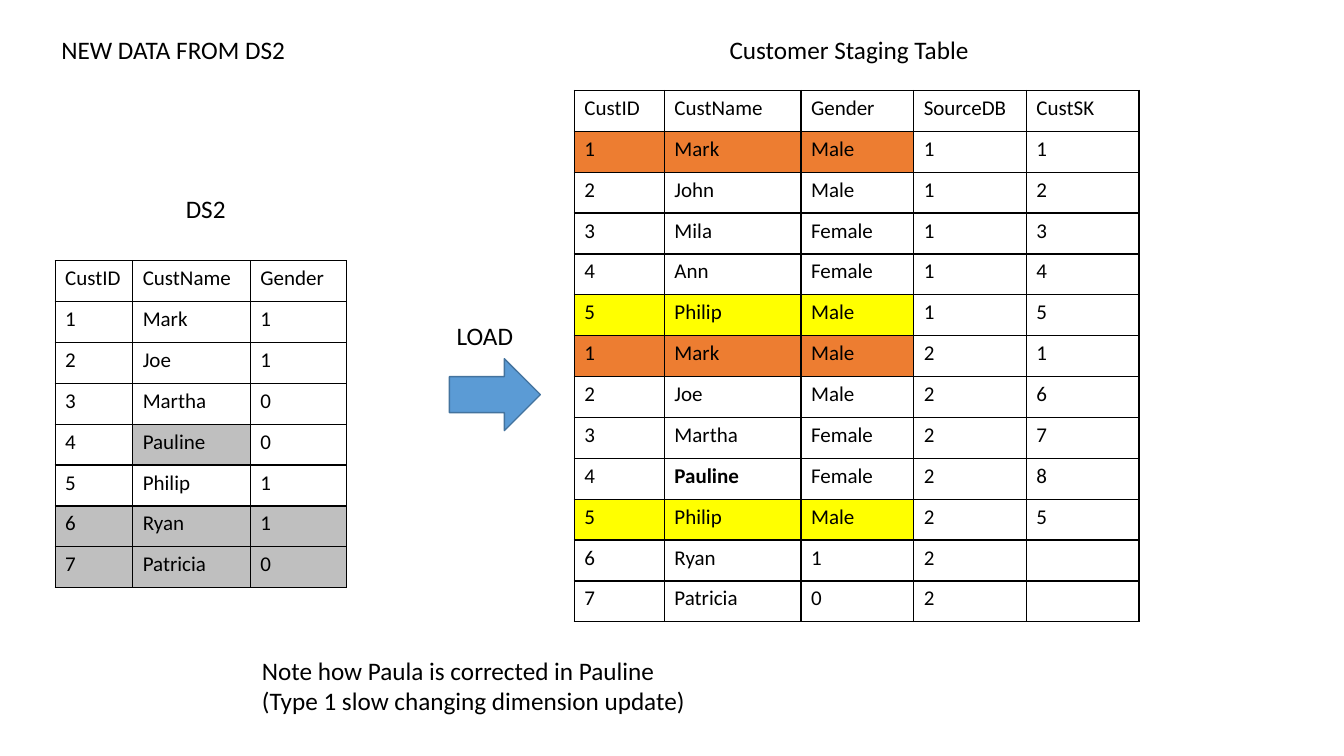
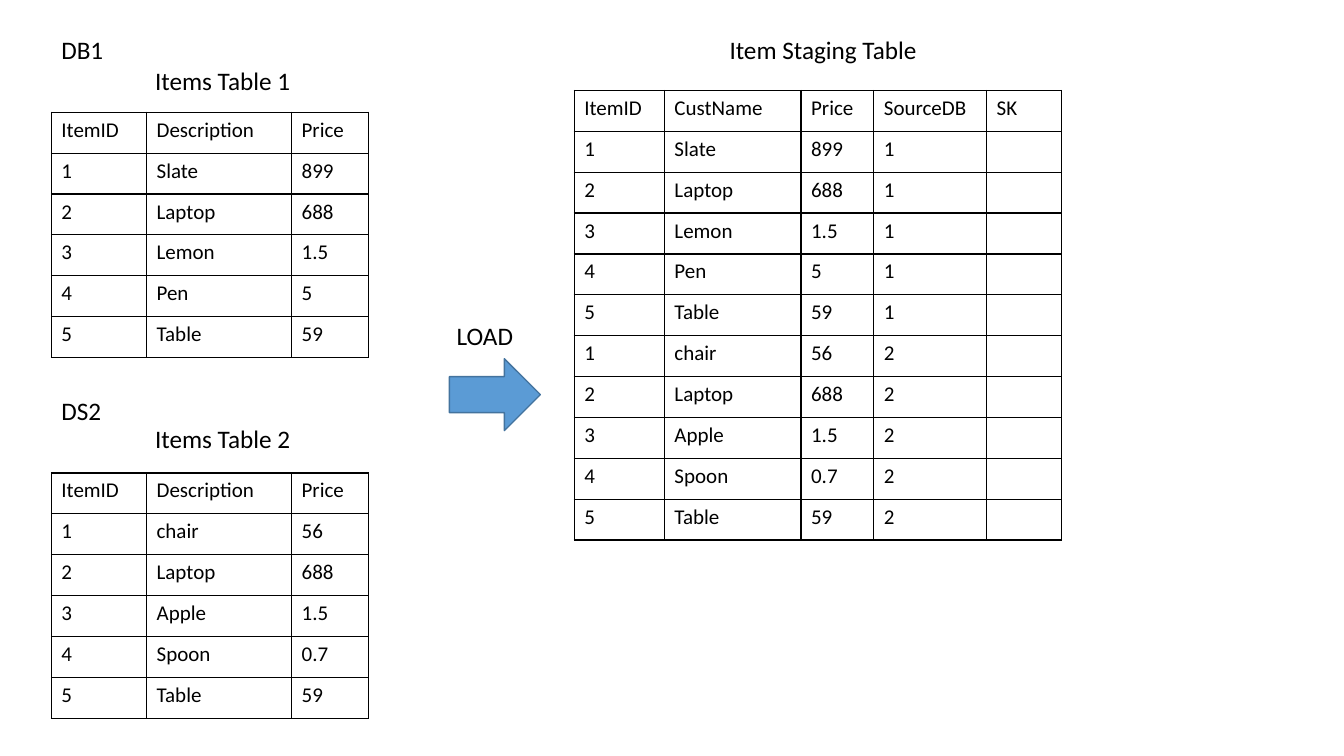
from dataclasses import dataclass
from lxml import etree
from pptx import Presentation
from pptx.dml.color import RGBColor as RGB
from pptx.enum import shapes, text
from pptx.oxml.ns import qn
from pptx.util import Pt


@dataclass(frozen=True)
class Theme:
    font: str = "Calibri"
    label: float = 18
    cell: float = 15
    row: float = 29.2
    ink: str = "000000"
    paper: str = "FFFFFF"
    gray: str = "BFBFBF"
    orange: str = "ED7D31"
    yellow: str = "FFFF00"
    blue: str = "5B9BD5"
    edge: str = "43739E"


look = Theme()


def label(slide, words, left, top, width=224.6, align=text.PP_ALIGN.LEFT):
    lines = words.split("\n")
    box = slide.shapes.add_textbox(Pt(left), Pt(top), Pt(width), Pt(7.2 + 21.6 * len(lines)))
    frame = box.text_frame
    frame.word_wrap = True
    frame.auto_size = text.MSO_AUTO_SIZE.SHAPE_TO_FIT_TEXT
    frame.text = words
    for para in frame.paragraphs:
        para.alignment = align
        para.font.name = look.font
        para.font.size = Pt(look.label)
        para.font.color.rgb = RGB.from_string(look.ink)


def grid(slide, rows, left, top, widths, fills=None, bold=()):
    fills = fills or {}
    frame = slide.shapes.add_table(len(rows), len(widths), Pt(left), Pt(top),
                                   Pt(sum(widths)), Pt(look.row * len(rows)))
    table = frame.table
    table.first_row = table.horz_banding = False
    for col, width in zip(table.columns, widths):
        col.width = Pt(width)
    for r, row in enumerate(rows):
        table.rows[r].height = Pt(look.row)
        for c, value in enumerate(row):
            cell = table.cell(r, c)
            props = cell._tc.get_or_add_tcPr()
            for side in ("lnL", "lnR", "lnT", "lnB"):
                line = etree.SubElement(props, qn("a:" + side), w=str(Pt(1)))
                fill = etree.SubElement(line, qn("a:solidFill"))
                etree.SubElement(fill, qn("a:srgbClr"), val=look.ink)
            cell.fill.solid()
            cell.fill.fore_color.rgb = RGB.from_string(fills.get((r, c), look.paper))
            cell.text = str(value)
            font = cell.text_frame.paragraphs[0].font
            font.name = look.font
            font.size = Pt(look.cell)
            font.bold = (r, c) in bold
            font.color.rgb = RGB.from_string(look.ink)


deck = Presentation()
deck.slide_width, deck.slide_height = Pt(960), Pt(540)

people = [
    ("CustID", "CustName", "Gender"),
    (1, "Mark", 1),
    (2, "Joe", 1),
    (3, "Martha", 0),
    (4, "Pauline", 0),
    (5, "Philip", 1),
    (6, "Ryan", 1),
    (7, "Patricia", 0),
]
clients = [
    ("CustID", "CustName", "Gender", "SourceDB", "CustSK"),
    (1, "Mark", "Male", 1, 1),
    (2, "John", "Male", 1, 2),
    (3, "Mila", "Female", 1, 3),
    (4, "Ann", "Female", 1, 4),
    (5, "Philip", "Male", 1, 5),
    (1, "Mark", "Male", 2, 1),
    (2, "Joe", "Male", 2, 6),
    (3, "Martha", "Female", 2, 7),
    (4, "Pauline", "Female", 2, 8),
    (5, "Philip", "Male", 2, 5),
    (6, "Ryan", 1, 2, ""),
    (7, "Patricia", 0, 2, ""),
]
items = [
    [(1, "Slate", 899), (2, "Laptop", 688), (3, "Lemon", 1.5), (4, "Pen", 5), (5, "Table", 59)],
    [(1, "chair", 56), (2, "Laptop", 688), (3, "Apple", 1.5), (4, "Spoon", 0.7), (5, "Table", 59)],
]
goods = [("ItemID", "CustName", "Price", "SourceDB", "SK")]
goods += [(*row, base, "") for base, rows in enumerate(items, 1) for row in rows]

new = {(r, c): look.gray for r in (6, 7) for c in range(3)}
new[4, 1] = look.gray
match = {(r, c): tone for tone, pair in ((look.orange, (1, 6)), (look.yellow, (5, 10)))
         for r in pair for c in range(3)}

stages = [
    ("Customer Staging Table", clients, (64.4, 97.6, 80.5, 80.5, 80.5), match, {(9, 1)}),
    ("Item Staging Table", goods, (64.4, 97.6, 52, 80.6, 53.6), {}, ()),
]
pages = []
for title, rows, widths, fills, bold in stages:
    slide = deck.slides.add_slide(deck.slide_layouts[6])
    pages.append(slide)
    label(slide, title, 514, 21)
    grid(slide, rows, 410.2, 64.6, widths, fills, bold)
    label(slide, "LOAD", 319, 225.5)
    arrow = slide.shapes.add_shape(shapes.MSO_SHAPE.RIGHT_ARROW,
                                   Pt(321), Pt(256.2), Pt(65), Pt(51.4))
    arrow.shadow.inherit = False
    arrow.fill.solid()
    arrow.fill.fore_color.rgb = RGB.from_string(look.blue)
    arrow.line.color.rgb = RGB.from_string(look.edge)
    arrow.line.width = Pt(1)

load, stock = pages
label(load, "NEW DATA FROM DS2", 36.7, 21)
label(load, "DS2", 34.6, 134.8, align=text.PP_ALIGN.CENTER)
grid(load, people, 39.4, 186.2, (55.4, 84, 69), new)
label(load, "Note how Paula is corrected in Pauline\n(Type 1 slow changing dimension update)",
      180, 464.4, 435.6)

places = [("DB1", 21, 43.2, 80.2), ("DS2", 278.8, 298.8, 337.8)]
for base, (rows, (source, tag, name, top)) in enumerate(zip(items, places), 1):
    label(stock, source, 36.7, tag)
    label(stock, f"Items Table {base}", 103.7, name)
    grid(stock, [("ItemID", "Description", "Price"), *rows], 36.7, top, (68, 103.6, 55))

deck.save("out.pptx")
